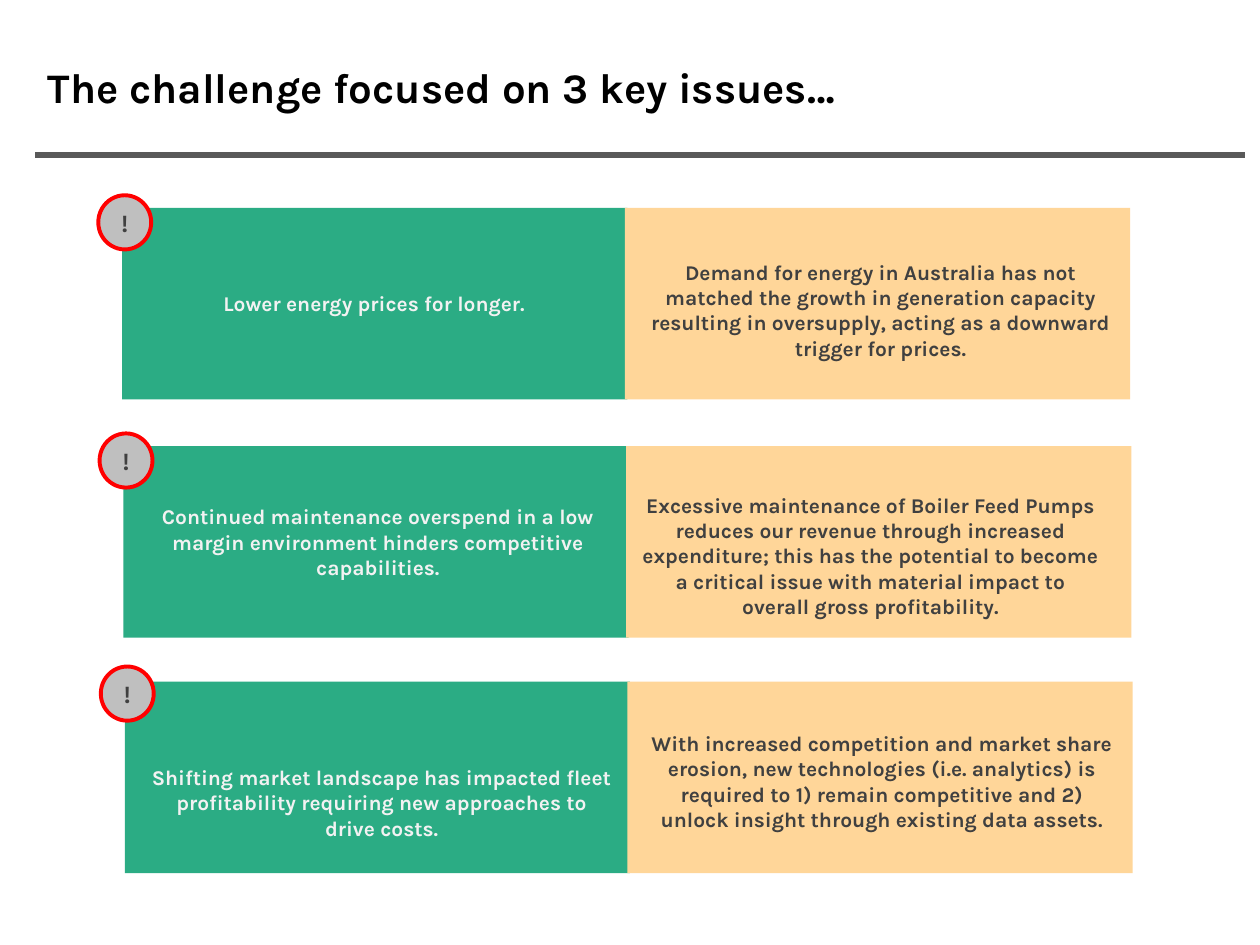
from dataclasses import dataclass

from lxml.etree import SubElement
from pptx import Presentation
from pptx.dml.color import RGBColor
from pptx.enum.shapes import MSO_CONNECTOR, MSO_SHAPE
from pptx.enum.text import MSO_ANCHOR, MSO_AUTO_SIZE, PP_ALIGN
from pptx.oxml.ns import qn
from pptx.util import Inches, Pt


@dataclass(frozen=True)
class Theme:
    font: str = "Karla"
    black: str = "000000"
    rule: str = "595959"
    green: str = "079E6F"
    sand: str = "FFD699"
    grey: str = "BFBFBF"
    red: str = "FF0000"
    light: str = "F2F2F2"
    dark: str = "404040"
    title_size: int = 24
    body_size: int = 12
    badge_size: int = 14


@dataclass(frozen=True)
class Caption:
    text: str
    left: float
    top: float
    height: float


@dataclass(frozen=True)
class Issue:
    left: float
    top: float
    badge_top: float
    headline: Caption
    detail: Caption


THEME = Theme()
PANEL_WIDTH, PANEL_HEIGHT = 4.01, 1.52
PANEL_STEP = 3.99
CAPTION_WIDTH = 3.86
BADGE_WIDTH, BADGE_HEIGHT = 0.42, 0.43
BADGE_OVERHANG = 0.19

ISSUES = [
    Issue(0.97, 1.65, 1.55,
          Caption("Lower energy prices for longer.", 1.04, 2.26, 0.3),
          Caption("Demand for energy in Australia has not matched the growth in "
                  "generation capacity resulting in oversupply, acting as a "
                  "downward trigger for prices.", 5.06, 2.01, 0.91)),
    Issue(0.98, 3.54, 3.44,
          Caption("Continued maintenance overspend in a low margin environment "
                  "hinders competitive capabilities.", 1.07, 3.95, 0.91),
          Caption("Excessive maintenance of Boiler Feed Pumps reduces our revenue "
                  "through increased expenditure; this has the potential to become "
                  "a critical issue with material impact to overall gross "
                  "profitability.", 4.98, 3.86, 1.11)),
    Issue(0.99, 5.41, 5.29,
          Caption("Shifting market landscape has impacted fleet profitability "
                  "requiring new approaches to drive costs.", 1.1, 6.02, 0.71),
          Caption("With increased competition and market share erosion, new "
                  "technologies (i.e. analytics) is required to 1) remain "
                  "competitive and 2) unlock insight through existing data "
                  "assets.", 5.07, 5.75, 0.91)),
]


def apply_format(target, values: dict) -> None:
    for name, value in values.items():
        setattr(target, name, value)


def write_text(box, text: str, size: int, color: str, align, anchor) -> None:
    frame = box.text_frame
    apply_format(frame, {"word_wrap": True, "auto_size": MSO_AUTO_SIZE.NONE,
                         "vertical_anchor": anchor})
    para = frame.paragraphs[0]
    para.alignment = align
    span = para.add_run()
    span.text = text
    apply_format(span.font, {"name": THEME.font, "size": Pt(size), "bold": True})
    span.font.color.rgb = RGBColor.from_string(color)


def add_filled(page, kind, left: float, top: float, width: float,
               height: float, color: str):
    shape = page.shapes.add_shape(kind, Inches(left), Inches(top),
                                  Inches(width), Inches(height))
    shape.shadow.inherit = False
    shape.fill.solid()
    shape.fill.fore_color.rgb = RGBColor.from_string(color)
    shape.line.fill.background()
    return shape


def add_panel(page, left: float, top: float, color: str):
    return add_filled(page, MSO_SHAPE.RECTANGLE, left, top,
                      PANEL_WIDTH, PANEL_HEIGHT, color)


def set_opacity(shape, percent: int) -> None:
    color = shape.fill._xPr.find(qn("a:solidFill"))[0]
    SubElement(color, qn("a:alpha")).set("val", str(percent * 1000))


def add_caption(page, caption: Caption, color: str) -> None:
    box = page.shapes.add_textbox(Inches(caption.left), Inches(caption.top),
                                  Inches(CAPTION_WIDTH), Inches(caption.height))
    write_text(box, caption.text, THEME.body_size, color,
               PP_ALIGN.CENTER, MSO_ANCHOR.TOP)


def add_badge(page, left: float, top: float) -> None:
    badge = add_filled(page, MSO_SHAPE.OVAL, left, top,
                       BADGE_WIDTH, BADGE_HEIGHT, THEME.grey)
    badge.line.color.rgb = RGBColor.from_string(THEME.red)
    badge.line.width = Pt(2.25)
    write_text(badge, "!", THEME.badge_size, THEME.dark,
               PP_ALIGN.CENTER, MSO_ANCHOR.MIDDLE)


def add_issue(page, issue: Issue) -> None:
    green_panel = add_panel(page, issue.left, issue.top, THEME.green)
    set_opacity(green_panel, 85)
    add_panel(page, issue.left + PANEL_STEP, issue.top, THEME.sand)
    add_badge(page, issue.left - BADGE_OVERHANG, issue.badge_top)
    add_caption(page, issue.headline, THEME.light)
    add_caption(page, issue.detail, THEME.dark)


def add_title(page, text: str) -> None:
    title = page.shapes.title
    apply_format(title, {"left": Inches(0.28), "top": Inches(0.44),
                         "width": Inches(9.61), "height": Inches(0.5)})
    write_text(title, text, THEME.title_size, THEME.black,
               PP_ALIGN.LEFT, MSO_ANCHOR.TOP)


def add_rule(page) -> None:
    rule = page.shapes.add_connector(MSO_CONNECTOR.STRAIGHT, Inches(0.28),
                                     Inches(1.23), Inches(9.88), Inches(1.23))
    rule.line.color.rgb = RGBColor.from_string(THEME.rule)
    rule.line.width = Pt(3)
    SubElement(rule._element.spPr, qn("a:effectLst"))


def build() -> None:
    deck = Presentation()
    apply_format(deck, {"slide_width": Inches(10), "slide_height": Inches(7.5)})
    page = deck.slides.add_slide(deck.slide_layouts[5])
    add_rule(page)
    add_title(page, "The challenge focused on 3 key issues…")
    for issue in ISSUES:
        add_issue(page, issue)
    deck.save("out.pptx")


build()
